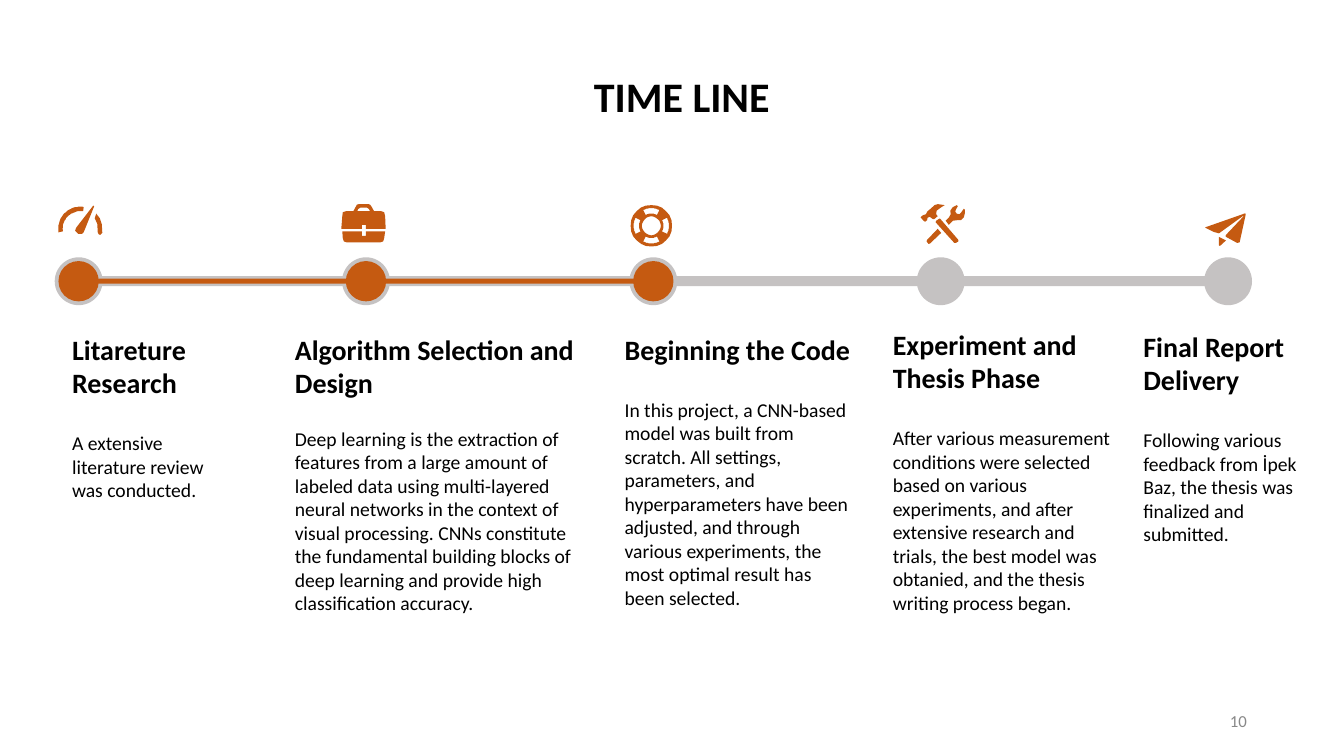
from math import cos, radians, sin

from pptx import Presentation
from pptx.dml.color import RGBColor
from pptx.enum.shapes import MSO_SHAPE as SHAPE
from pptx.enum.text import MSO_ANCHOR as ANCHOR, PP_ALIGN as ALIGN
from pptx.util import Inches, Pt

COLORS = {"track": "C5C2C2", "done": "C55A11", "text": "000000", "number": "888888"}
FONT = "Calibri"

# Stations are spaced evenly along the track
FIRST_X, STEP, TRACK_Y = 1.56, 5.7, 5.58
DONE_COUNT = 3

# Left, top, width, heading, gap before the body in points, body
PHASES = [
    (1.16, 6.46, 3.71, "Litareture Research", 45.4,
     "A extensive literature review was conducted."),
    (5.58, 6.46, 6.4, "Algorithm Selection and Design", 39,
     "Deep learning is the extraction of features from a large amount of labeled data "
     "using multi-layered neural networks in the context of visual processing. CNNs "
     "constitute the fundamental building blocks of deep learning and provide high "
     "classification accuracy."),
    (12.12, 6.46, 5.04, "Beginning the Code", 45.4,
     "In this project, a CNN-based model was built from scratch. All settings, "
     "parameters, and hyperparameters have been adjusted, and through various "
     "experiments, the most optimal result has been selected."),
    (17.44, 6.36, 5.04, "Experiment and Thesis Phase", 45.4,
     "After various measurement conditions were selected based on various experiments, "
     "and after extensive research and trials, the best model was obtanied, and the "
     "thesis writing process began."),
    (22.41, 6.4, 3.59, "Final Report Delivery", 45.4,
     "Following various feedback from İpek Baz, the thesis was finalized and submitted."),
]


def arc(center, radius, start, end, steps=24):
    """Points on a circle; angles in degrees, clockwise from the right."""
    angles = [radians(start + (end - start) * i / steps) for i in range(steps + 1)]
    return [(center[0] + radius * cos(a), center[1] + radius * sin(a)) for a in angles]


def band(center, outer, inner, start, end):
    return arc(center, outer, start, end) + arc(center, inner, end, start)


# Icon outlines in hundredths of an inch, from the icon's top left corner
HUB = (41, 41)
GAUGE = [
    band((43.5, 47), 44, 35, 171, 279),
    [(35, 45), (33, 51), (39, 57), (47, 57), (50, 54), (71, 2), (69, 1)],
    [(75, 17), (72, 26), (77, 37), (78, 54), (80, 58), (83, 59), (87, 55), (86, 38), (82, 26)],
]
BRIEFCASE = [
    [(41, 41), (49, 41), (49, 49), (88, 49), (87, 24), (85, 16), (79, 14), (65, 14),
     (60, 5), (57, 1), (54, 0), (35, 0), (31, 1), (24, 14), (10, 14), (3, 16), (2, 24),
     (0, 49), (41, 49)],
    [(33, 10), (38, 7), (51, 7), (55, 10), (57, 14), (32, 14)],
    [(49, 63), (41, 63), (41, 54), (2, 54), (3, 68), (5, 74), (11, 76), (77, 76),
     (83, 74), (85, 68), (87, 54), (49, 54)],
]
LIFEBUOY = [arc(HUB, 41, 0, 360), arc(HUB, 19, 360, 0)] + [
    band(HUB, 35, 24, middle - 27, middle + 27) for middle in range(0, 360, 90)]
TOOLS = [
    [(14, 27), (18, 25), (25, 30), (27, 30), (34, 24), (31, 20), (32, 13), (40, 7),
     (48, 2), (34, 0), (28, 2), (19, 10), (13, 15), (11, 20), (5, 22), (0, 26),
     (6, 33), (9, 35), (13, 32)],
    [(39, 29), (37, 29), (31, 33), (30, 36), (67, 77), (70, 77), (75, 74), (75, 71)],
    [(88, 11), (86, 9), (81, 16), (77, 20), (72, 19), (69, 15), (70, 11), (74, 4),
     (72, 2), (64, 6), (59, 13), (60, 20), (56, 27), (50, 33), (56, 41), (64, 33),
     (72, 32), (80, 32), (86, 26), (88, 18)],
    [(13, 71), (12, 74), (16, 79), (19, 78), (41, 57), (34, 49)],
]
PAPER_PLANE = [
    [(78, 2), (1, 29), (1, 30), (17, 38), (28, 41), (75, 7), (77, 7), (42, 44),
     (41, 46), (42, 48), (64, 60), (69, 59), (81, 4), (80, 1)],
    [(28, 65), (30, 66), (42, 55), (28, 48)],
]
ICONS = [(1.16, 4.07, GAUGE), (6.77, 4.05, BRIEFCASE), (12.51, 4.07, LIFEBUOY),
         (18.26, 4.05, TOOLS), (23.9, 4.22, PAPER_PLANE)]


def paint(shape, color):
    shape.fill.solid()
    shape.fill.fore_color.rgb = RGBColor.from_string(COLORS[color])
    shape.line.fill.background()
    shape.shadow.inherit = False


def add_dot(slide, station, size, color):
    x = FIRST_X + station * STEP
    dot = slide.shapes.add_shape(SHAPE.OVAL, Inches(x - size / 2), Inches(TRACK_Y - size / 2),
                                 Inches(size), Inches(size))
    paint(dot, color)


def add_bar(slide, left, width, height, color):
    bar = slide.shapes.add_shape(SHAPE.RECTANGLE, Inches(left), Inches(TRACK_Y - height / 2),
                                 Inches(width), Inches(height))
    paint(bar, color)


def add_icon(slide, left, top, outlines):
    first, *others = outlines
    builder = slide.shapes.build_freeform(*first[0], scale=Inches(0.01))
    builder.add_line_segments(first[1:], close=True)
    for outline in others:
        builder.move_to(*outline[0])
        builder.add_line_segments(outline[1:], close=True)
    paint(builder.convert_to_shape(Inches(left), Inches(top)), "done")


def style(paragraph, size, color="text", bold=False, align=ALIGN.LEFT):
    paragraph.alignment = align
    font = paragraph.runs[0].font
    font.name, font.size, font.bold = FONT, Pt(size), bold
    font.color.rgb = RGBColor.from_string(COLORS[color])


def add_phase(slide, left, top, width, heading, gap, body):
    box = slide.shapes.add_textbox(Inches(left), Inches(top), Inches(width), Inches(6.5))
    frame = box.text_frame
    frame.word_wrap = True
    frame.margin_left = frame.margin_right = Inches(0.27)
    frame.margin_top = frame.margin_bottom = Inches(0.13)
    frame.text = heading
    style(frame.paragraphs[0], 40, bold=True)
    details = frame.add_paragraph()
    details.text = body
    details.space_before = Pt(gap)
    style(details, 28)


def add_title(slide, text):
    title = slide.shapes.title
    title.left, title.top = Inches(11.23), Inches(1.34)
    title.width, title.height = Inches(4.59), Inches(1.11)
    title.text_frame.text = text
    style(title.text_frame.paragraphs[0], 60, bold=True, align=ALIGN.CENTER)


def add_page_number(slide, number):
    box = slide.shapes.add_textbox(Inches(18.83), Inches(13.9), Inches(6), Inches(0.8))
    box.text_frame.word_wrap = True
    box.text_frame.vertical_anchor = ANCHOR.MIDDLE
    box.text_frame.text = number
    style(box.text_frame.paragraphs[0], 24, "number", align=ALIGN.RIGHT)


def main():
    deck = Presentation()
    deck.slide_width, deck.slide_height = Inches(26.66), Inches(15)
    slide = deck.slides.add_slide(deck.slide_layouts[5])
    add_title(slide, "TIME LINE")

    # Track, with the finished part on top
    add_bar(slide, 1.89, 22.4, 0.2, "track")
    for station in range(len(PHASES)):
        add_dot(slide, station, 0.95, "track")
    add_bar(slide, 1.8, 11.1, 0.1, "done")
    for station in range(DONE_COUNT):
        add_dot(slide, station, 0.8, "done")

    # Icons above the track, phases below it
    for icon in ICONS:
        add_icon(slide, *icon)
    for phase in PHASES:
        add_phase(slide, *phase)

    add_page_number(slide, "10")
    deck.save("out.pptx")


if __name__ == "__main__":
    main()
